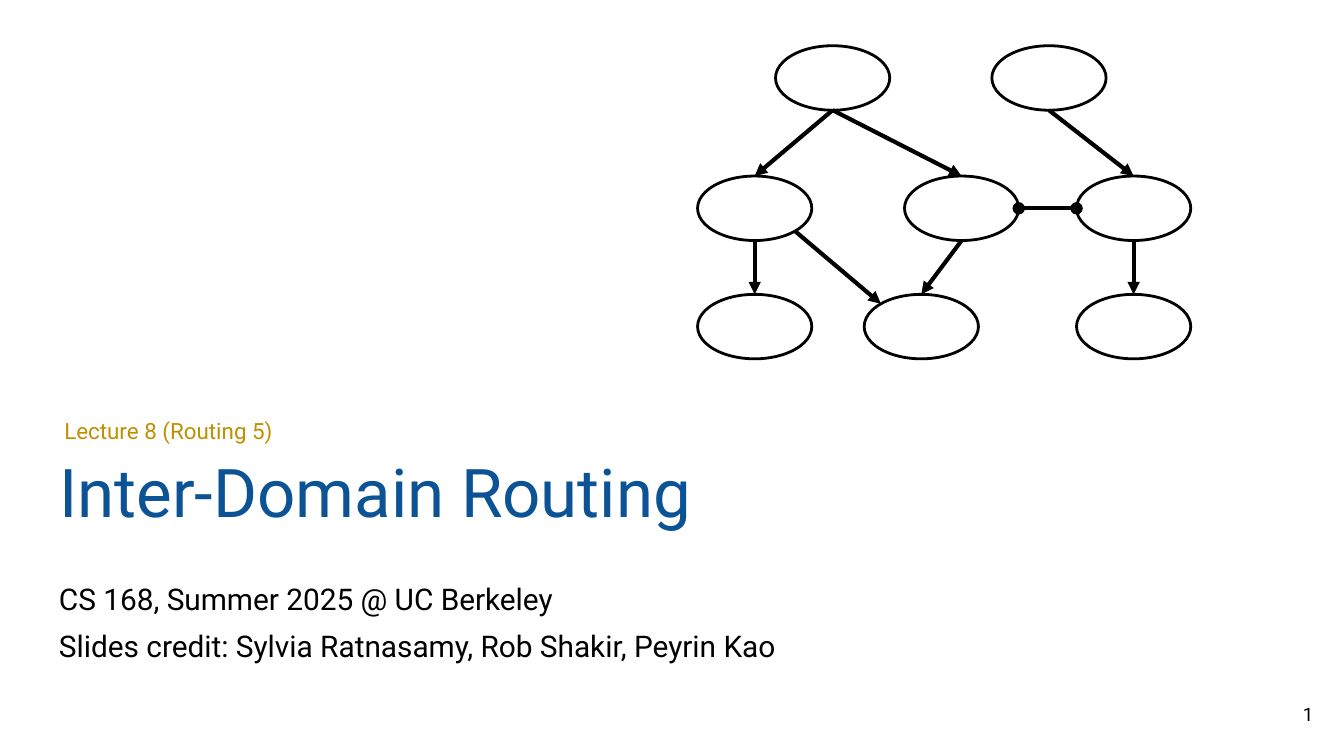
from math import sqrt

from lxml.etree import SubElement
from pptx import Presentation
from pptx.dml.color import RGBColor
from pptx.enum.shapes import MSO_CONNECTOR as Connector, MSO_SHAPE as Shape
from pptx.enum.text import MSO_ANCHOR as Anchor, MSO_AUTO_SIZE as AutoSize, PP_ALIGN as Align
from pptx.oxml.ns import qn
from pptx.util import Inches, Pt

COLORS = {"ink": "000000", "title": "0B5394", "lecture": "BF9000"}
FONT = "Roboto"
SLIDE_WIDTH = 10
SLIDE_HEIGHT = SLIDE_WIDTH * 9 / 16
NODE_WIDTH, NODE_HEIGHT = 0.85, 0.48
DIAGONAL = 1 / sqrt(2)
SITES = {
    "top": (0, -1),
    "bottom": (0, 1),
    "left": (-1, 0),
    "right": (1, 0),
    "top left": (-DIAGONAL, -DIAGONAL),
    "bottom right": (DIAGONAL, DIAGONAL),
}
NODES = {
    "top left": (0.58, 0),
    "top right": (2.19, 0),
    "middle left": (0, 0.97),
    "middle centre": (1.54, 0.97),
    "middle right": (2.82, 0.97),
    "bottom left": (0, 1.85),
    "bottom centre": (1.24, 1.85),
    "bottom right": (2.82, 1.85),
}
CUSTOMER_LINKS = [
    ("top left", "bottom", "middle left", "top"),
    ("top left", "bottom", "middle centre", "top"),
    ("middle left", "bottom", "bottom left", "top"),
    ("middle left", "bottom right", "bottom centre", "top left"),
    ("middle centre", "bottom", "bottom centre", "top"),
    ("middle right", "bottom", "bottom right", "top"),
    ("top right", "bottom", "middle right", "top"),
]
PEER_LINKS = [("middle centre", "right", "middle right", "left")]


def color(name):
    """Return the named palette colour."""
    return RGBColor.from_string(COLORS[name])


def write_text(shape, lines, size, color_name, anchor=Anchor.TOP, align=Align.LEFT, space=0):
    """Fill a shape's text frame with one paragraph per line."""
    frame = shape.text_frame
    frame.word_wrap = True
    frame.auto_size = AutoSize.NONE
    frame.vertical_anchor = anchor
    frame.margin_left = frame.margin_right = Inches(0.1)
    frame.margin_top = frame.margin_bottom = Inches(0.1)
    for index, line in enumerate(lines):
        paragraph = frame.add_paragraph() if index else frame.paragraphs[0]
        paragraph.alignment = align
        paragraph.space_before = Pt(space)
        run = paragraph.add_run()
        run.text = line
        run.font.name = FONT
        run.font.size = Pt(size)
        run.font.color.rgb = color(color_name)


def add_text(slide, box, lines, size, color_name, **options):
    """Add a text box in the given box."""
    shape = slide.shapes.add_textbox(*map(Inches, box))
    write_text(shape, lines, size, color_name, **options)


def add_node(slide, left, top):
    """Draw one network as an outlined ellipse."""
    box = (left, top, NODE_WIDTH, NODE_HEIGHT)
    shape = slide.shapes.add_shape(Shape.OVAL, *map(Inches, box))
    shape.shadow.inherit = False
    shape.fill.background()
    shape.line.color.rgb = color("ink")
    shape.line.width = Pt(1.5)


def add_link(slide, start, end, **ends):
    """Draw a link with the given line end types."""
    connector = slide.shapes.add_connector(Connector.STRAIGHT, *map(Inches, start + end))
    connector.line.color.rgb = color("ink")
    connector.line.width = Pt(2.25)
    line = connector.line._get_or_add_ln()
    for tag, kind in ends.items():
        SubElement(line, qn(f"a:{tag}"), type=kind)
    SubElement(connector._element.spPr, qn("a:effectLst"))


def add_network(slide, left, top):
    """Draw the network graph from its top left corner."""

    def site(node, side):
        """Return the point on a node's outline at the given side."""
        x, y = NODES[node]
        across, down = SITES[side]
        return (
            left + x + NODE_WIDTH / 2 * (1 + across),
            top + y + NODE_HEIGHT / 2 * (1 + down),
        )

    for x, y in NODES.values():
        add_node(slide, left + x, top + y)
    for source, source_side, target, target_side in CUSTOMER_LINKS:
        add_link(slide, site(source, source_side), site(target, target_side), tailEnd="triangle")
    for source, source_side, target, target_side in PEER_LINKS:
        add_link(slide, site(source, source_side), site(target, target_side),
                 headEnd="oval", tailEnd="oval")


def add_heading(slide, left, top):
    """Place the title, the lecture line above it and the credits below."""
    title = slide.shapes.title
    title.left, title.top = Inches(left), Inches(top)
    title.width, title.height = Inches(9.52), Inches(2.24)
    write_text(title, ["Inter-Domain Routing"], 36, "title", anchor=Anchor.BOTTOM)
    add_text(slide, (left + 0.04, top + 1.19, 3.02, 0.31), ["Lecture 8 (Routing 5)"], 12, "lecture")
    credits = [
        "CS 168, Summer 2025 @ UC Berkeley",
        "Slides credit: Sylvia Ratnasamy, Rob Shakir, Peyrin Kao",
    ]
    add_text(slide, (left, top + 2.41, 9.32, 0.72), credits, 16, "ink", space=6)


def main():
    """Build the title slide and save it."""
    presentation = Presentation()
    presentation.slide_width = Inches(SLIDE_WIDTH)
    presentation.slide_height = Inches(SLIDE_HEIGHT)
    slide = presentation.slides.add_slide(presentation.slide_layouts[5])
    add_heading(slide, 0.34, 1.81)
    add_network(slide, 5.19, 0.34)
    add_text(slide, (9.27, 5.1, 0.6, 0.43), ["1"], 10, "ink", anchor=Anchor.MIDDLE, align=Align.RIGHT)
    presentation.save("out.pptx")


if __name__ == "__main__":
    main()
